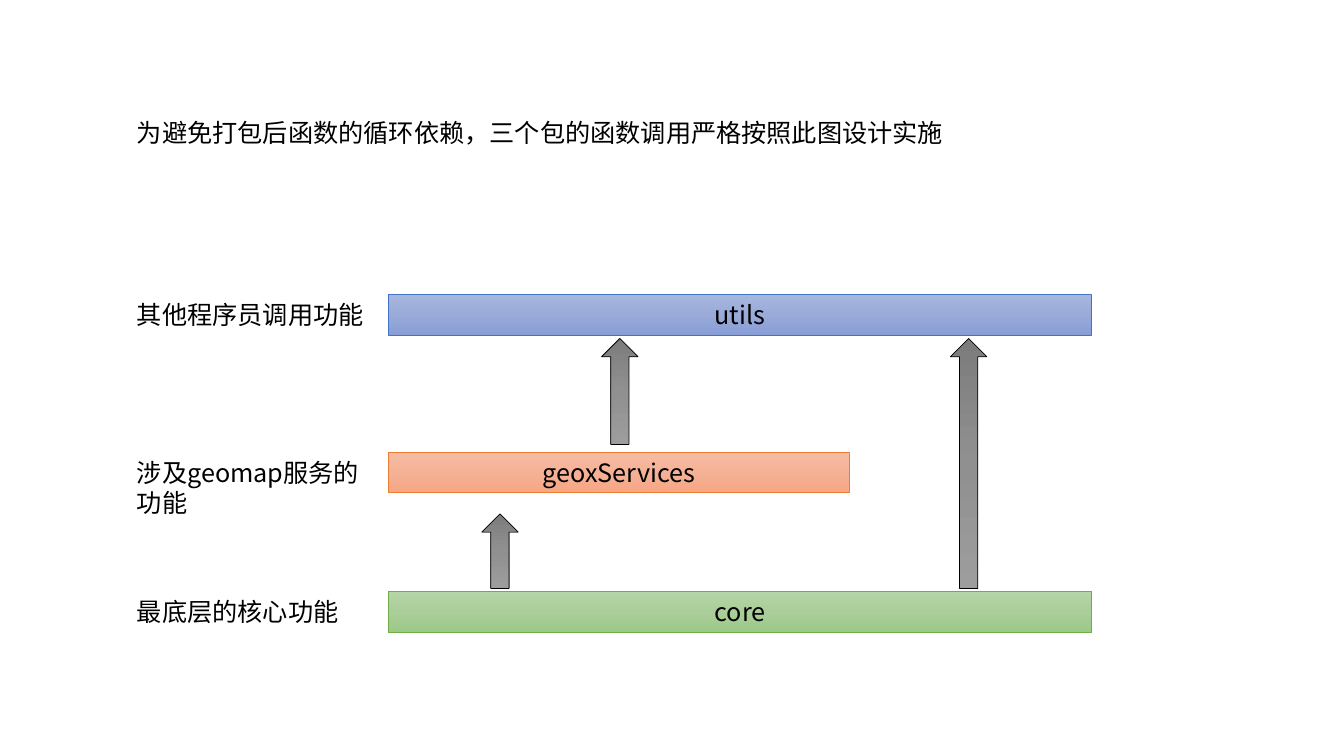
from copy import deepcopy

from lxml.etree import SubElement
from pptx import Presentation
from pptx.dml.color import RGBColor
from pptx.enum.shapes import MSO_SHAPE as SHAPE
from pptx.enum.text import MSO_ANCHOR as ANCHOR, MSO_AUTO_SIZE as AUTO_SIZE, PP_ALIGN as ALIGN
from pptx.oxml.ns import qn
from pptx.util import Cm, Pt

FONT = "Noto Sans CJK SC"
COLORS = {
    "text": "000000",
    "utils": ("A8B7DF", "9AABD9", "889ED7"),
    "utils_line": "4472C4",
    "services": ("F7BDA5", "F5B196", "F8A582"),
    "services_line": "ED7D31",
    "core": ("B5D5A7", "AACE9A", "9CC987"),
    "core_line": "70AD47",
    "arrow": ("7C7C7C", "909090", "9D9D9D"),
    "arrow_line": "000000",
}

LABEL_LEFT = 3.2
BAR_LEFT = 9.8
ROW_HEIGHT = 1.02
ARROW_WIDTH = 0.92

# key, bar text, label, top, bar width, label width
LAYERS = [
    ("core", "core", "最底层的核心功能", 14.91, 17.7, 5.64),
    ("services", "geoxServices", "涉及geomap服务的功能", 11.4, 11.61, 6.6),
    ("utils", "utils", "其他程序员调用功能", 7.42, 17.7, 6.27),
]
# left, top, height
ARROWS = [(12.14, 12.95, 1.88), (23.95, 8.53, 6.3), (15.16, 8.53, 2.67)]


def rgb(name):
    return RGBColor.from_string(COLORS[name])


def write(tf, text, align):
    tf.word_wrap = True
    tf.auto_size = AUTO_SIZE.SHAPE_TO_FIT_TEXT
    p = tf.paragraphs[0]
    p.text = text
    p.alignment = align
    p.font.size = Pt(18)
    p.font.color.rgb = rgb("text")
    p.font.name = FONT
    east_asian = SubElement(p._p.pPr.find(qn("a:defRPr")), qn("a:ea"))
    east_asian.set("typeface", FONT)


def add_gradient_shape(slide, kind, key, left, top, width, height):
    """Add a thinly outlined shape with a three-stop gradient from top to bottom."""
    sp = slide.shapes.add_shape(kind, Cm(left), Cm(top), Cm(width), Cm(height))
    sp.shadow.inherit = False
    sp.line.color.rgb = rgb(key + "_line")
    sp.line.width = Pt(0.5)
    sp.fill.gradient()
    sp.fill.gradient_angle = 270
    stop_list = sp._element.spPr.find(qn("a:gradFill")).find(qn("a:gsLst"))
    stop_list.insert(1, deepcopy(stop_list[0]))
    for stop, color, position in zip(sp.fill.gradient_stops, COLORS[key], (0, 0.5, 1)):
        stop.color.rgb = RGBColor.from_string(color)
        stop.position = position
    return sp


def add_bar(slide, key, text, top, width):
    sp = add_gradient_shape(slide, SHAPE.RECTANGLE, key, BAR_LEFT, top, width, ROW_HEIGHT)
    sp.text_frame.vertical_anchor = ANCHOR.MIDDLE
    write(sp.text_frame, text, ALIGN.CENTER)


def add_label(slide, text, top, width):
    box = slide.shapes.add_textbox(Cm(LABEL_LEFT), Cm(top), Cm(width), Cm(ROW_HEIGHT))
    write(box.text_frame, text, ALIGN.LEFT)


def main():
    prs = Presentation()
    prs.slide_width, prs.slide_height = Cm(33.87), Cm(19.05)
    slide = prs.slides.add_slide(prs.slide_layouts[6])
    for key, name, label, top, bar_width, label_width in LAYERS:
        add_bar(slide, key, name, top, bar_width)
        add_label(slide, label, top, label_width)
    for left, top, height in ARROWS:
        add_gradient_shape(slide, SHAPE.UP_ARROW, "arrow", left, top, ARROW_WIDTH, height)
    add_label(slide, "为避免打包后函数的循环依赖，三个包的函数调用严格按照此图设计实施", 2.82, 21.26)
    prs.save("out.pptx")


if __name__ == "__main__":
    main()
